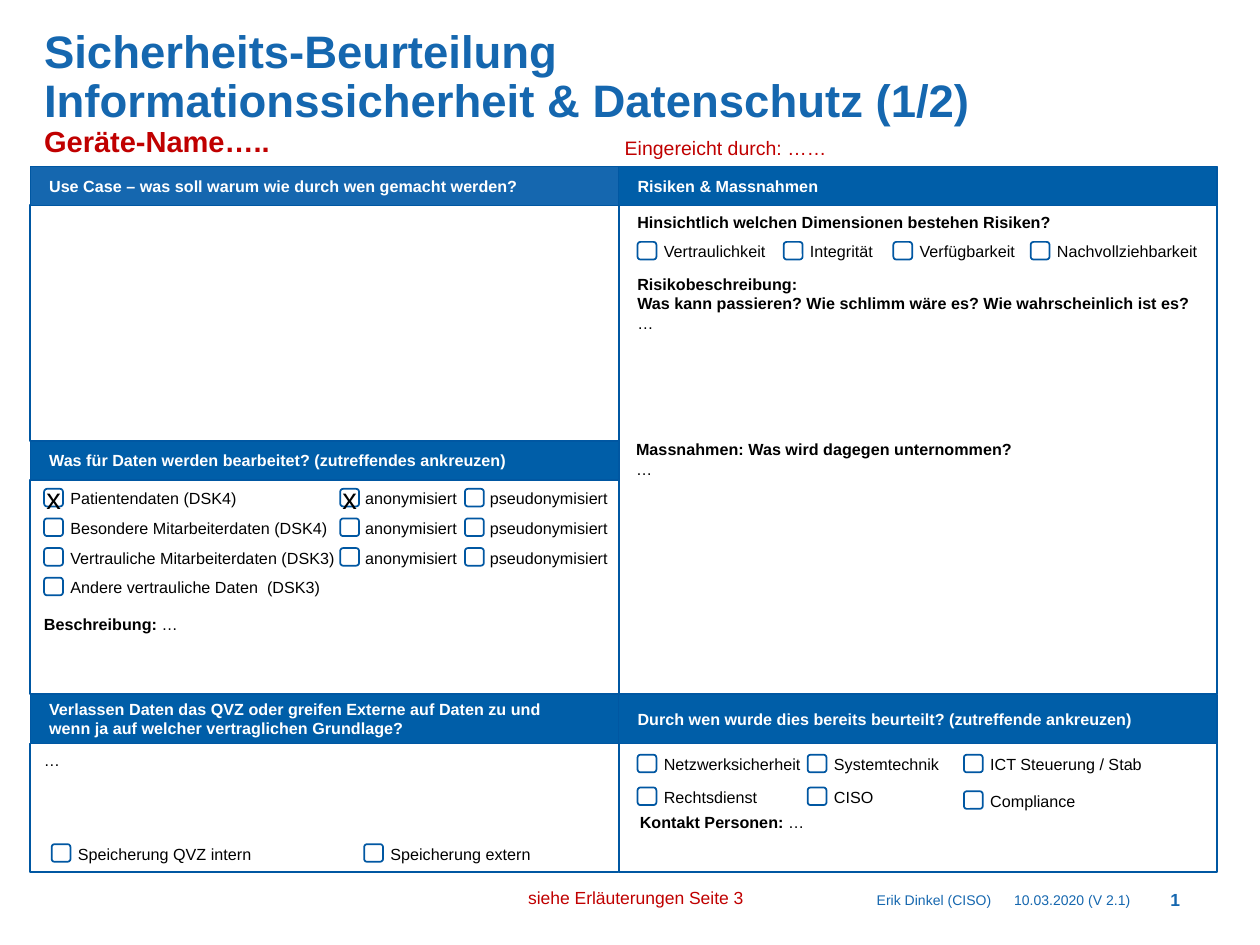
from dataclasses import dataclass
from pptx import Presentation, util as u
from pptx.dml.color import RGBColor
from pptx.enum import shapes, text


@dataclass(frozen=True)
class Theme:
    font: str = "Arial"
    blue: str = "1567AF"
    head: str = "005EA8"
    line: str = "0057A2"
    red: str = "C00000"
    white: str = "FFFFFF"
    black: str = "000000"
    title: float = 26
    large: float = 16.6
    sub: float = 11.1
    note: float = 10
    body: float = 9.2
    small: float = 8


T = Theme()

# Grid: two columns, rows given by top and height
COLS = [(0.24, 4.67), (4.91, 4.75)]
TOP, END = 1.32, 6.92

# Content: (column, head top, head height, body bottom, fill, head lines)
PANELS = [
    (0, TOP, 0.31, 3.5, T.blue, ["Use Case – was soll warum wie durch wen gemacht werden?"]),
    (0, 3.5, 0.31, 5.51, T.head, ["Was für Daten werden bearbeitet? (zutreffendes ankreuzen)"]),
    (0, 5.51, 0.39, END, T.head, ["Verlassen Daten das QVZ oder greifen Externe auf Daten zu und",
                                  "wenn ja auf welcher vertraglichen Grundlage?"]),
    (1, TOP, 0.31, 5.51, T.head, ["Risiken & Massnahmen"]),
    (1, 5.51, 0.39, END, T.head, ["Durch wen wurde dies bereits beurteilt? (zutreffende ankreuzen)"]),
]

# Paragraphs are strings or lists of (text, bold) runs
NOTES = [
    ((0.25, 4.83, 4.51, 0.55), [[("Beschreibung: ", True), ("…", False)]]),
    ((0.25, 5.91, 4.65, 0.7), ["…"]),
    ((4.96, 1.64, 4.6, 0.28), [[("Hinsichtlich welchen Dimensionen bestehen Risiken?", True)]]),
    ((4.96, 2.13, 4.6, 1.3), [
        [("Risikobeschreibung:", True)],
        [("Was kann passieren? Wie schlimm wäre es? Wie wahrscheinlich ist es?", True)],
        "…"]),
    ((4.95, 3.44, 4.6, 1.97), [[("Massnahmen: Was wird dagegen unternommen?", True)], "…"]),
    ((4.98, 6.4, 4.6, 0.5), [[("Kontakt Personen: ", True), ("…", False)]]),
]

# Check boxes: (left, top, label width, label)
CHECKS = [
    (5.06, 1.92, 1.05, "Vertraulichkeit"),
    (6.22, 1.92, 1.05, "Integrität"),
    (7.09, 1.92, 1.05, "Verfügbarkeit"),
    (8.18, 1.92, 1.32, "Nachvollziehbarkeit"),
    (5.06, 5.99, 1.29, "Netzwerksicherheit"),
    (6.41, 5.99, 1.29, "Systemtechnik"),
    (7.65, 5.99, 1.51, "ICT Steuerung / Stab"),
    (5.06, 6.25, 1.29, "Rechtsdienst"),
    (6.41, 6.25, 1.29, "CISO"),
    (7.65, 6.28, 1.29, "Compliance"),
    (0.41, 6.7, 1.7, "Speicherung QVZ intern"),
    (2.89, 6.7, 1.7, "Speicherung extern"),
]
DATA = ["Patientendaten (DSK4)", "Besondere Mitarbeiterdaten (DSK4)",
        "Vertrauliche Mitarbeiterdaten (DSK3)", "Andere vertrauliche Daten  (DSK3)"]
FORMS = [(2.7, 0.96, "anonymisiert"), (3.69, 1.16, "pseudonymisiert")]
MARKED = {"Patientendaten (DSK4)": [0], "anonymisiert": [0]}  # rows with an x


def write(shape, paras, size=T.body, color=T.black, bold=False, center=False,
          middle=False, inset=(0.1, 0.05, 0.1, 0.05), wrap=True):
    """Fill a shape with paragraphs in one format."""
    frame = shape.text_frame
    frame.word_wrap = wrap
    frame.auto_size = text.MSO_AUTO_SIZE.NONE
    frame.vertical_anchor = text.MSO_ANCHOR.MIDDLE if middle else text.MSO_ANCHOR.TOP
    (frame.margin_left, frame.margin_top,
     frame.margin_right, frame.margin_bottom) = map(u.Inches, inset)
    for i, para in enumerate(paras):
        p = frame.add_paragraph() if i else frame.paragraphs[0]
        p.alignment = text.PP_ALIGN.CENTER if center else text.PP_ALIGN.LEFT
        for words, heavy in [(para, bold)] if isinstance(para, str) else para:
            style(p.add_run(), words, size, color, heavy)


def style(run, words, size, color, bold):
    run.text = words
    run.font.name, run.font.size, run.font.bold = T.font, u.Pt(size), bold
    run.font.color.rgb = RGBColor.from_string(color)


def label(box, paras, **form):
    write(slide.shapes.add_textbox(*map(u.Inches, box)), paras, **form)


def block(box, fill=T.white, width=1, kind=shapes.MSO_SHAPE.RECTANGLE):
    shape = slide.shapes.add_shape(kind, *map(u.Inches, box))
    shape.shadow.inherit = False
    shape.fill.solid()
    shape.fill.fore_color.rgb = RGBColor.from_string(fill)
    shape.line.color.rgb = RGBColor.from_string(T.line)
    shape.line.width = u.Pt(width)
    return shape


def check(left, top, width, words, gap=0.11, mark=False):
    box = block((left, top, 0.15, 0.14), kind=shapes.MSO_SHAPE.ROUNDED_RECTANGLE)
    if mark:
        write(box, ["x"], size=T.large, center=True, middle=True, inset=(0,) * 4, wrap=False)
    label((left + gap, top - 0.05, width, 0.27), [words])


deck = Presentation()
deck.slide_width, deck.slide_height = u.Inches(10), u.Inches(7.5)
slide = deck.slides.add_slide(deck.slide_layouts[5])

# Title with device name
title = slide.shapes.title
title.left, title.top, title.width, title.height = map(u.Inches, (0.25, 0.18, 9.49, 1.14))
write(title, [[]])
para = title.text_frame.paragraphs[0]
para.line_spacing = 0.9
for words in ("Sicherheits-Beurteilung", "Informationssicherheit & Datenschutz (1/2)"):
    style(para.add_run(), words, T.title, T.blue, True)
    para.add_line_break()
style(para.add_run(), "Geräte-Name…..", T.large, T.red, True)

# Submitter and footer
label((4.86, 1.03, 4.76, 0.29), ["Eingereicht durch: ……"], size=T.sub, color=T.red)
label((3.84, 6.99, 2.41, 0.27), ["siehe Erläuterungen Seite 3"],
      size=T.note, color=T.red, center=True)
for box, words, size, bold in [
        ((6.86, 7.02, 1.77, 0.24), "Erik Dinkel (CISO)", T.small, False),
        ((7.95, 7.02, 1.37, 0.24), "10.03.2020 (V 2.1)", T.small, False),
        ((9.19, 6.92, 0.48, 0.44), "1", T.note, True)]:
    label(box, [words], size=size, color=T.blue, bold=bold, middle=True)

# Panels: body below its head
for col, top, high, end, fill, lines in PANELS:
    left, wide = COLS[col]
    block((left, top + high, wide, end - top - high))
    write(block((left, top, wide, high), fill, 0.75), lines, color=T.white,
          bold=True, middle=True, inset=(0.15, 0.05, 0, 0.05))

# Notes and check boxes
for box, paras in NOTES:
    label(box, paras)
for item in CHECKS:
    check(*item)

# Data kinds, the first three with their forms
for row, kind in enumerate(DATA):
    top = 3.88 + row * 0.235
    check(0.35, top, 2.33, kind, mark=row in MARKED.get(kind, []))
    for left, wide, form in FORMS if row < 3 else []:
        check(left, top, wide, form, gap=0.1, mark=row in MARKED.get(form, []))

deck.save("out.pptx")
